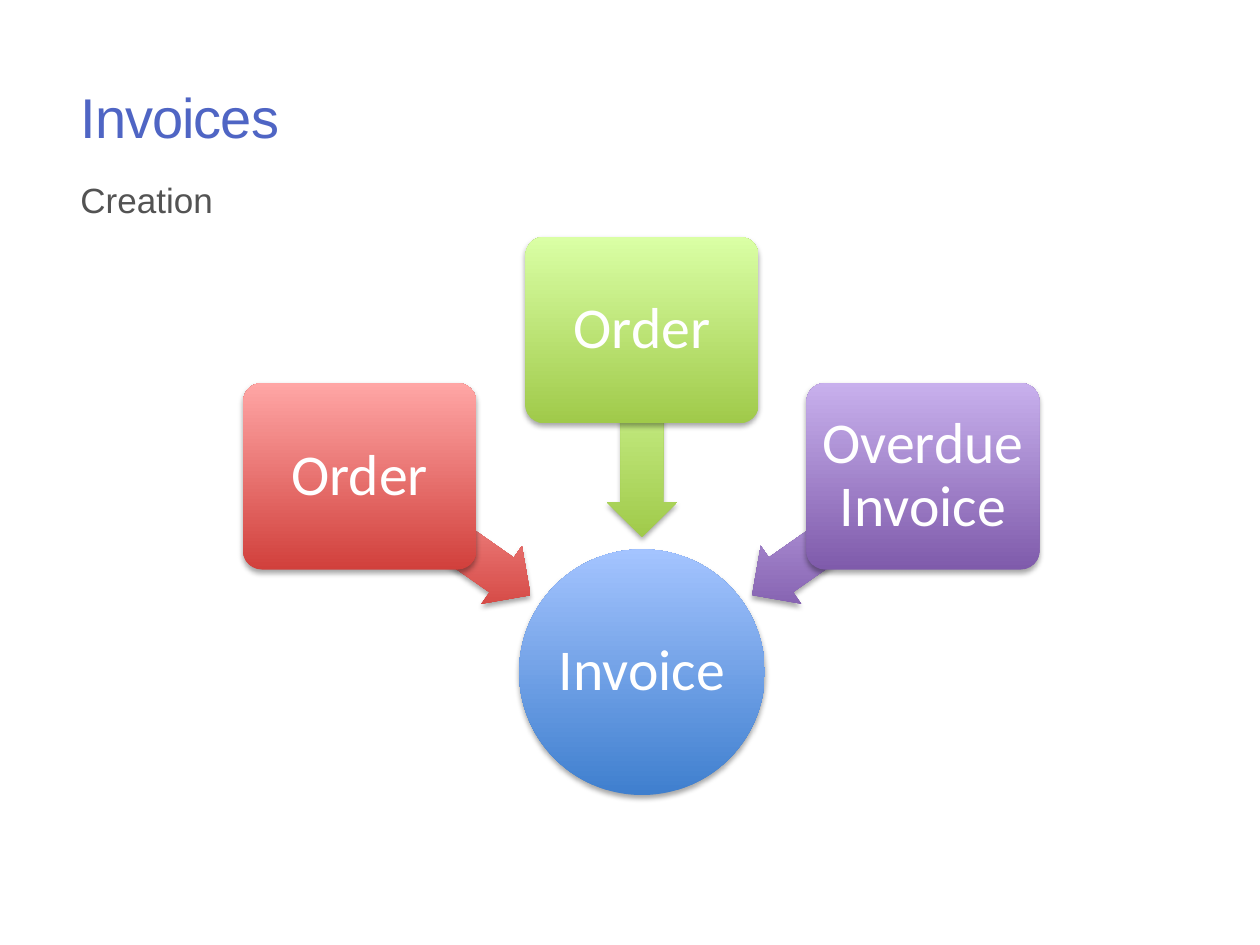
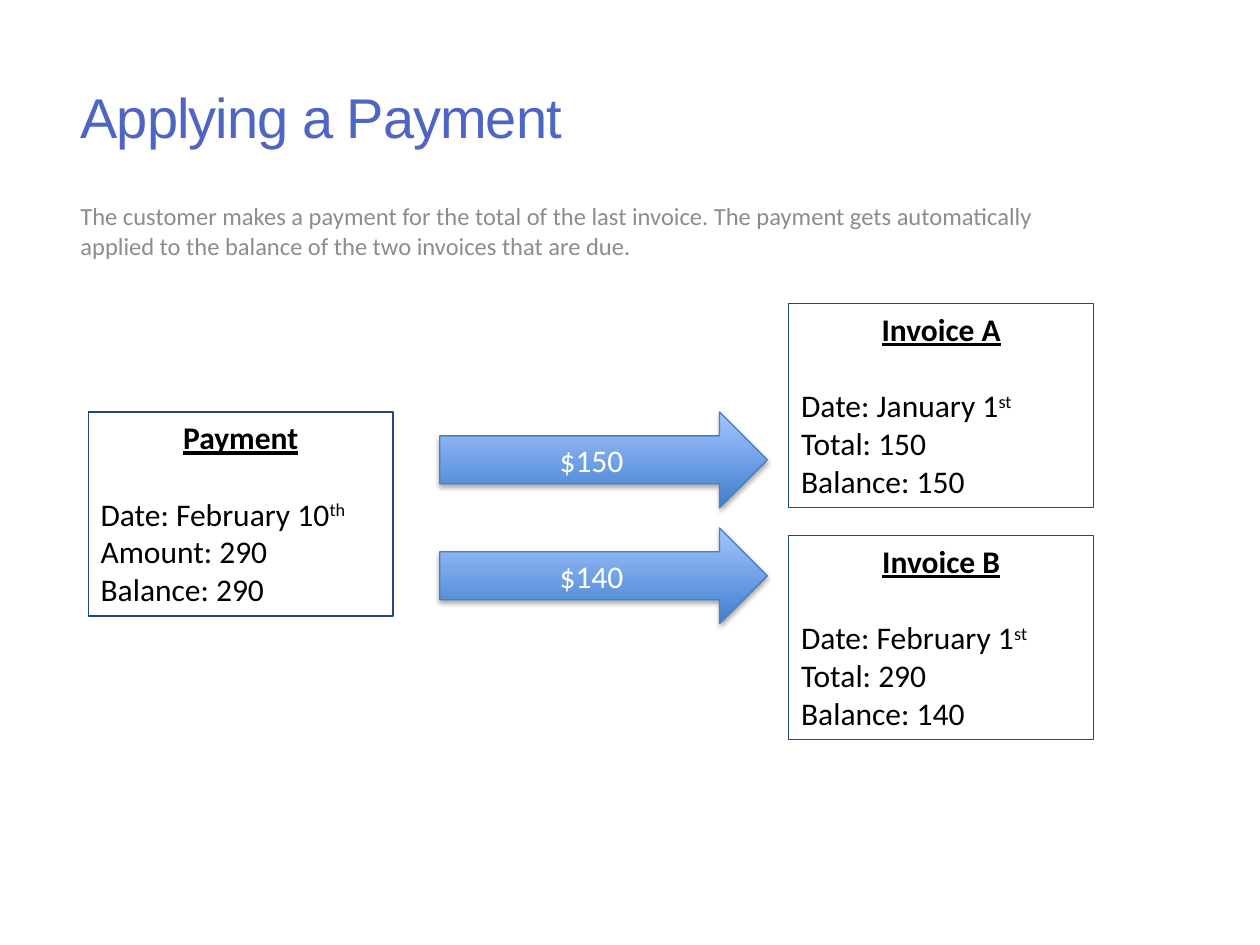
from lxml.etree import SubElement
from pptx import Presentation
from pptx.dml.color import RGBColor
from pptx.enum.shapes import MSO_SHAPE as Shape
from pptx.enum.text import MSO_ANCHOR as Anchor, MSO_AUTO_SIZE as Fit, PP_ALIGN as Align
from pptx.oxml.ns import qn
from pptx.util import Inches, Pt

RED = ("D1403C", "FFA6A5")
GREEN = ("A0CA4A", "DAFFA5")
PURPLE = ("7F5BAB", "C8B0ED")
BLUE = ("3F7FCE", "A4C4FF")
WHITE, BLACK = "FFFFFF", "000000"
TITLE, SUB, NOTE = "4F65C4", "535353", "8C8C8C"
NAVY, EDGE = "1F497D", "4B7EBC"


def paint(color):
    """Turn a hex string into a colour."""
    return RGBColor.from_string(color)


def place(shape, spot):
    """Set left, top, width and height in inches."""
    for name, size in zip(("left", "top", "width", "height"), spot):
        setattr(shape, name, Inches(size))


class Deck:
    """Holds the style and the current slide."""

    def __init__(self):
        """Start an empty 4:3 deck."""
        self.prs = Presentation()
        self.prs.slide_width, self.prs.slide_height = Inches(10), Inches(7.5)

    def page(self, title):
        """Add a slide with its title."""
        self.slide = self.prs.slides.add_slide(self.prs.slide_layouts[5])
        head = self.slide.shapes.title
        place(head, (0.54, 0.51, 7, 0.83))
        self.frame(head, Anchor.MIDDLE)
        run = self.label(head.text_frame.paragraphs[0], title, 32, TITLE, "Arial")
        run._r.get_or_add_rPr().set("spc", "-60")

    def frame(self, shape, anchor, pad=(0.1, 0.05)):
        """Set wrapping, anchor and margins of a text frame."""
        side, edge = map(Inches, pad)
        form = {"word_wrap": True, "auto_size": Fit.NONE, "vertical_anchor": anchor,
                "margin_left": side, "margin_right": side,
                "margin_top": edge, "margin_bottom": edge}
        for name, value in form.items():
            setattr(shape.text_frame, name, value)

    def label(self, para, text, size, color, font="Calibri", align=Align.LEFT, **form):
        """Add a run with its format to a paragraph."""
        para.alignment = align
        run = para.add_run()
        run.text = text
        run.font.color.rgb = paint(color)
        for name, value in {"name": font, "size": Pt(size), **form}.items():
            setattr(run.font, name, value)
        return run

    def text(self, spot, words, size, color, font="Calibri", before=0):
        """Add a text box."""
        box = self.slide.shapes.add_textbox(*map(Inches, spot))
        self.frame(box, Anchor.TOP)
        para = box.text_frame.paragraphs[0]
        para.space_before = Pt(before)
        self.label(para, words, size, color, font)

    def block(self, kind, spot, hues, words="", size=33, pad=0.07, adjust=(), turn=0, edge=None):
        """Add a shaded shape with a soft shadow and a centred label."""
        shape = self.slide.shapes.add_shape(kind, *map(Inches, spot))
        shape.rotation = turn
        for index, value in enumerate(adjust):
            shape.adjustments[index] = value
        shape.fill.gradient()
        shape.fill.gradient_angle = 90
        for stop, hue in zip(shape.fill.gradient_stops, hues):
            stop.color.rgb = paint(hue)
        shape._element.spPr.find(qn("a:gradFill")).set("rotWithShape", "0")
        if edge:
            self.line(shape, edge)
        else:
            shape.line.fill.background()
        self.shade(shape)
        if words:
            self.frame(shape, Anchor.MIDDLE, (pad, pad))
            para = shape.text_frame.paragraphs[0]
            para.line_spacing = 0.9 if size > 20 else 1.0
            self.label(para, words, size, WHITE, align=Align.CENTER)

    def line(self, shape, color):
        """Give a shape a thin outline."""
        shape.line.color.rgb = paint(color)
        shape.line.width = Pt(0.75)

    def shade(self, shape):
        """Cast a soft shadow straight down."""
        shape.shadow.inherit = False
        effects = shape._element.spPr.find(qn("a:effectLst"))
        cast = SubElement(effects, qn("a:outerShdw"), blurRad=str(Pt(3.1)), dist=str(Pt(1.8)),
                          dir="5400000", rotWithShape="0")
        tone = SubElement(cast, qn("a:srgbClr"), val=BLACK)
        SubElement(tone, qn("a:alpha"), val="35000")

    def card(self, left, top, head, date, suffix, *rows):
        """Add an outlined record: heading, date and amounts."""
        box = self.slide.shapes.add_shape(Shape.RECTANGLE, *map(Inches, (left, top, 2.42, 1.62)))
        box.fill.background()
        box.shadow.inherit = False
        self.line(box, NAVY)
        self.frame(box, Anchor.TOP)
        frame = box.text_frame
        para = frame.paragraphs[0]
        para.space_after = Pt(22)
        self.label(para, head, 18, BLACK, align=Align.CENTER, bold=True, underline=True)
        para = frame.add_paragraph()
        self.label(para, f"Date: {date}", 18, BLACK)
        small = self.label(para, suffix + " ", 18, BLACK)
        small._r.get_or_add_rPr().set("baseline", "30000")
        for row in rows:
            self.label(frame.add_paragraph(), row, 18, BLACK)


deck = Deck()

deck.page("Invoices")
deck.text((0.54, 1.37, 7, 0.5), "Creation", 20, SUB, "Arial", before=2)
deck.block(Shape.OVAL, (4.12, 4.36, 1.95, 1.95), BLUE, "Invoice", pad=0.02)
# Each source: box left and top, arrow left and top, turn
sources = [
    ("Order", RED, (1.93, 3.04), (2.71, 3.97), 215),
    ("Order", GREEN, (4.17, 1.88), (4.27, 3.16), 270),
    ("Overdue Invoice", PURPLE, (6.4, 3.04), (5.82, 3.97), 325),
]
for name, hues, box, arrow, turn in sources:
    deck.block(Shape.LEFT_ARROW, (*arrow, 1.65, 0.56), hues, adjust=(0.6, 0.5), turn=turn)
    deck.block(Shape.ROUNDED_RECTANGLE, (*box, 1.85, 1.48), hues, name, adjust=(0.1,))

deck.page("Applying a Payment")
deck.text((0.54, 1.55, 8.13, 0.57),
          "The customer makes a payment for the total of the last invoice. The payment gets "
          "automatically applied to the balance of the two invoices that are due.", 14, NOTE)
deck.card(0.7, 3.27, "Payment", "February 10", "th", "Amount: 290", "Balance: 290")
deck.card(6.26, 2.41, "Invoice A", "January 1", "st", "Total: 150", "Balance: 150")
deck.card(6.26, 4.25, "Invoice B", "February 1", "st", "Total: 290", "Balance: 140")
for top, amount in ((3.27, "$150"), (4.19, "$140")):
    deck.block(Shape.RIGHT_ARROW, (3.49, top, 2.6, 0.76), BLUE, amount, size=18, edge=EDGE)

deck.prs.save("out.pptx")
